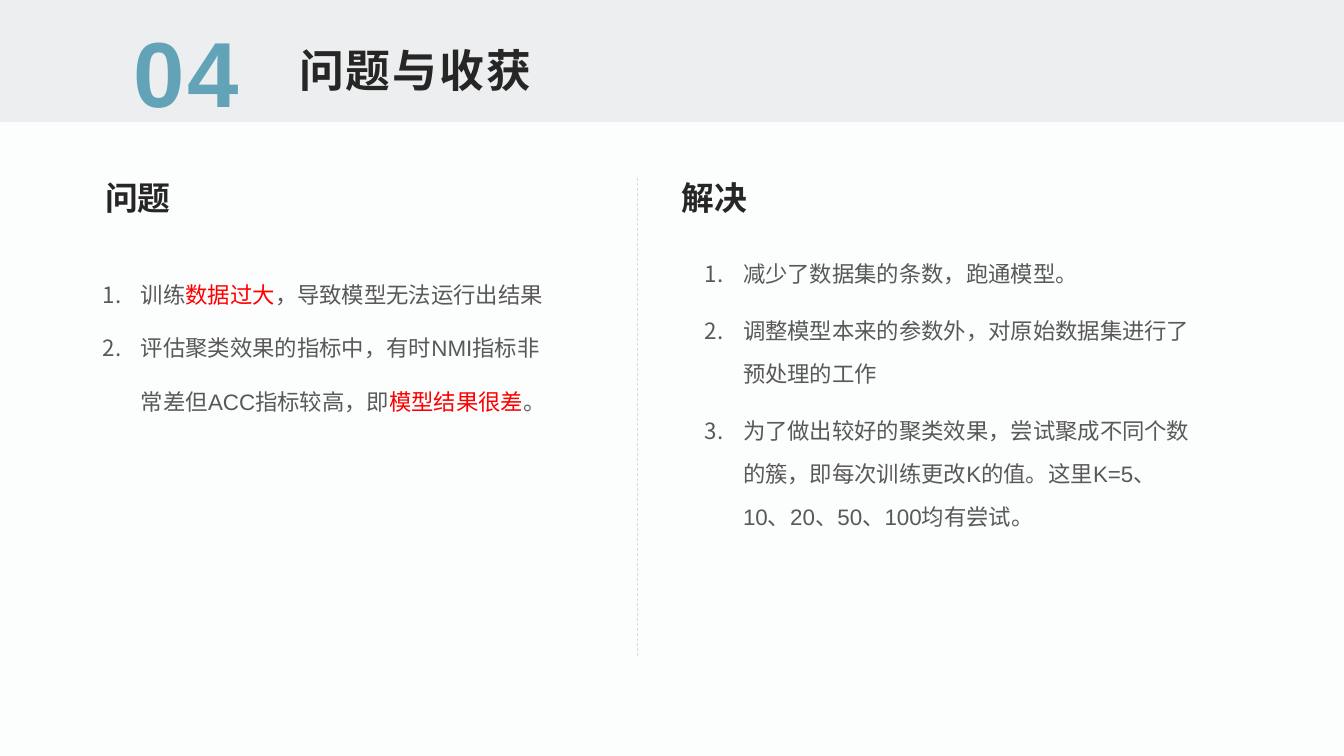
"""Build the slide on problems met and how they were solved."""
import dataclasses
import typing

import pptx
import pptx.dml.color
import pptx.enum.dml
import pptx.enum.lang
import pptx.enum.shapes
import pptx.enum.text
import pptx.oxml.ns
import pptx.util
from lxml import etree

EMU_PER_PX = 914400 / 100.8
SLIDE_WIDTH, SLIDE_HEIGHT = 1344, 756
LIST_INDENT = 38
FONT = "Arial"
COLOURS = {
    "background": "FCFDFD",
    "band": "ECEEEF",
    "heading": "262626",
    "body": "595959",
    "alert": "FF0000",
    "number": "62A3B8",
    "divider": "D9D9D9",
}
ANCHOR = pptx.enum.text.MSO_ANCHOR
ALIGN = pptx.enum.text.PP_ALIGN


class Box(typing.NamedTuple):
    left: int
    top: int
    width: int
    height: int


class Piece(typing.NamedTuple):
    text: str
    colour: str = "body"


@dataclasses.dataclass(frozen=True)
class Style:
    size: float
    bold: bool = True
    tracking: int = 0
    anchor: ANCHOR = ANCHOR.TOP
    align: ALIGN = ALIGN.LEFT
    inset: tuple[int, int] = (10, 5)
    line_spacing: float = 1.0
    space_before: int = 0
    numbered: bool = False


@dataclasses.dataclass(frozen=True)
class Column:
    heading_idx: int
    heading: str
    heading_box: Box
    list_idx: int
    list_box: Box
    list_style: Style
    items: list[list[Piece]]


TITLE_STYLE = Style(32, tracking=150, anchor=ANCHOR.BOTTOM, inset=(8, 4))
NUMBER_STYLE = Style(66, tracking=200, anchor=ANCHOR.MIDDLE, align=ALIGN.CENTER)
HEADING_STYLE = Style(23.4)

COLUMNS = [
    Column(
        1, "问题", Box(95, 173, 542, 50),
        2, Box(93, 249, 478, 336),
        Style(16, bold=False, line_spacing=2.0, numbered=True),
        [
            [Piece("训练"), Piece("数据过大", "alert"), Piece("，导致模型无法运行出结果")],
            [
                Piece("评估聚类效果的指标中，有时NMI指标非常差但ACC指标较高，即"),
                Piece("模型结果很差", "alert"),
                Piece("。"),
            ],
        ],
    ),
    Column(
        3, "解决", Box(672, 173, 542, 50),
        4, Box(695, 239, 517, 379),
        Style(16, bold=False, line_spacing=1.6, space_before=10, numbered=True),
        [
            [Piece("减少了数据集的条数，跑通模型。")],
            [Piece("调整模型本来的参数外，对原始数据集进行了预处理的工作")],
            [Piece("为了做出较好的聚类效果，尝试聚成不同个数的簇，即每次训练更改K的值。"
                   "这里K=5、10、20、50、100均有尝试。")],
        ],
    ),
]


def px(length: int) -> pptx.util.Emu:
    """Turn px into EMU."""
    return pptx.util.Emu(round(length * EMU_PER_PX))


def rgb(name: str) -> pptx.dml.color.RGBColor:
    """Look up a named colour."""
    return pptx.dml.color.RGBColor.from_string(COLOURS[name])


def number_paragraph(paragraph) -> None:
    """Give a paragraph a hanging automatic number."""
    properties = paragraph._p.get_or_add_pPr()
    properties.set("marL", str(px(LIST_INDENT)))
    properties.set("indent", str(-px(LIST_INDENT)))
    bullet_font = etree.SubElement(properties, pptx.oxml.ns.qn("a:buFont"))
    bullet_font.set("typeface", "+mj-ea")
    numbering = etree.SubElement(properties, pptx.oxml.ns.qn("a:buAutoNum"))
    numbering.set("type", "arabicPeriod")


def write(shape, box: Box, style: Style, paragraphs: list[list[Piece]]) -> None:
    """Place a text shape and fill it run by run."""
    shape.left, shape.top, shape.width, shape.height = map(px, box)
    frame = shape.text_frame
    frame.word_wrap = True
    frame.auto_size = pptx.enum.text.MSO_AUTO_SIZE.NONE
    frame.vertical_anchor = style.anchor
    frame.margin_left = frame.margin_right = px(style.inset[0])
    frame.margin_top = frame.margin_bottom = px(style.inset[1])
    for index, pieces in enumerate(paragraphs):
        paragraph = frame.add_paragraph() if index else frame.paragraphs[0]
        paragraph.alignment = style.align
        paragraph.line_spacing = style.line_spacing
        paragraph.space_before = pptx.util.Pt(style.space_before)
        if style.numbered:
            number_paragraph(paragraph)
        for piece in pieces:
            run = paragraph.add_run()
            run.text = piece.text
            run.font.name = FONT
            run.font.size = pptx.util.Pt(style.size)
            run.font.bold = style.bold
            run.font.color.rgb = rgb(piece.colour)
            run.font.language_id = pptx.enum.lang.MSO_LANGUAGE_ID.SIMPLIFIED_CHINESE
            if style.tracking:
                run.font._element.set("spc", str(style.tracking))


def draw_band(slide, box: Box) -> None:
    """Draw the header band behind all text."""
    band = slide.shapes.add_shape(
        pptx.enum.shapes.MSO_SHAPE.RECTANGLE, *map(px, box))
    band.shadow.inherit = False
    band.fill.solid()
    band.fill.fore_color.rgb = rgb("band")
    band.line.fill.background()
    slide.shapes._spTree.insert(2, band._element)


def draw_divider(slide, x: int, top: int, bottom: int) -> None:
    """Draw the dashed line between the columns."""
    divider = slide.shapes.add_connector(
        pptx.enum.shapes.MSO_CONNECTOR.STRAIGHT, px(x), px(top), px(x), px(bottom))
    divider.line.color.rgb = rgb("divider")
    divider.line.width = pptx.util.Pt(0.5)
    divider.line.dash_style = pptx.enum.dml.MSO_LINE.DASH
    etree.SubElement(divider._element.spPr, pptx.oxml.ns.qn("a:effectLst"))


def main() -> None:
    """Build and save the deck."""
    deck = pptx.Presentation()
    deck.slide_width, deck.slide_height = px(SLIDE_WIDTH), px(SLIDE_HEIGHT)
    slide = deck.slides.add_slide(deck.slide_layouts.get_by_name("Comparison"))
    slide.background.fill.solid()
    slide.background.fill.fore_color.rgb = rgb("background")

    draw_band(slide, Box(0, 0, SLIDE_WIDTH, 122))
    write(slide.shapes.title, Box(291, 33, 672, 68), TITLE_STYLE,
          [[Piece("问题与收获", "heading")]])
    number_box = Box(95, 10, 183, 122)
    section_number = slide.shapes.add_textbox(*map(px, number_box))
    write(section_number, number_box, NUMBER_STYLE, [[Piece("04", "number")]])

    slots = {slot.placeholder_format.idx: slot for slot in slide.placeholders}
    for column in COLUMNS:
        write(slots[column.heading_idx], column.heading_box, HEADING_STYLE,
              [[Piece(column.heading, "heading")]])
        write(slots[column.list_idx], column.list_box, column.list_style, column.items)
    draw_divider(slide, 637, 178, 656)
    deck.save("out.pptx")


if __name__ == "__main__":
    main()
